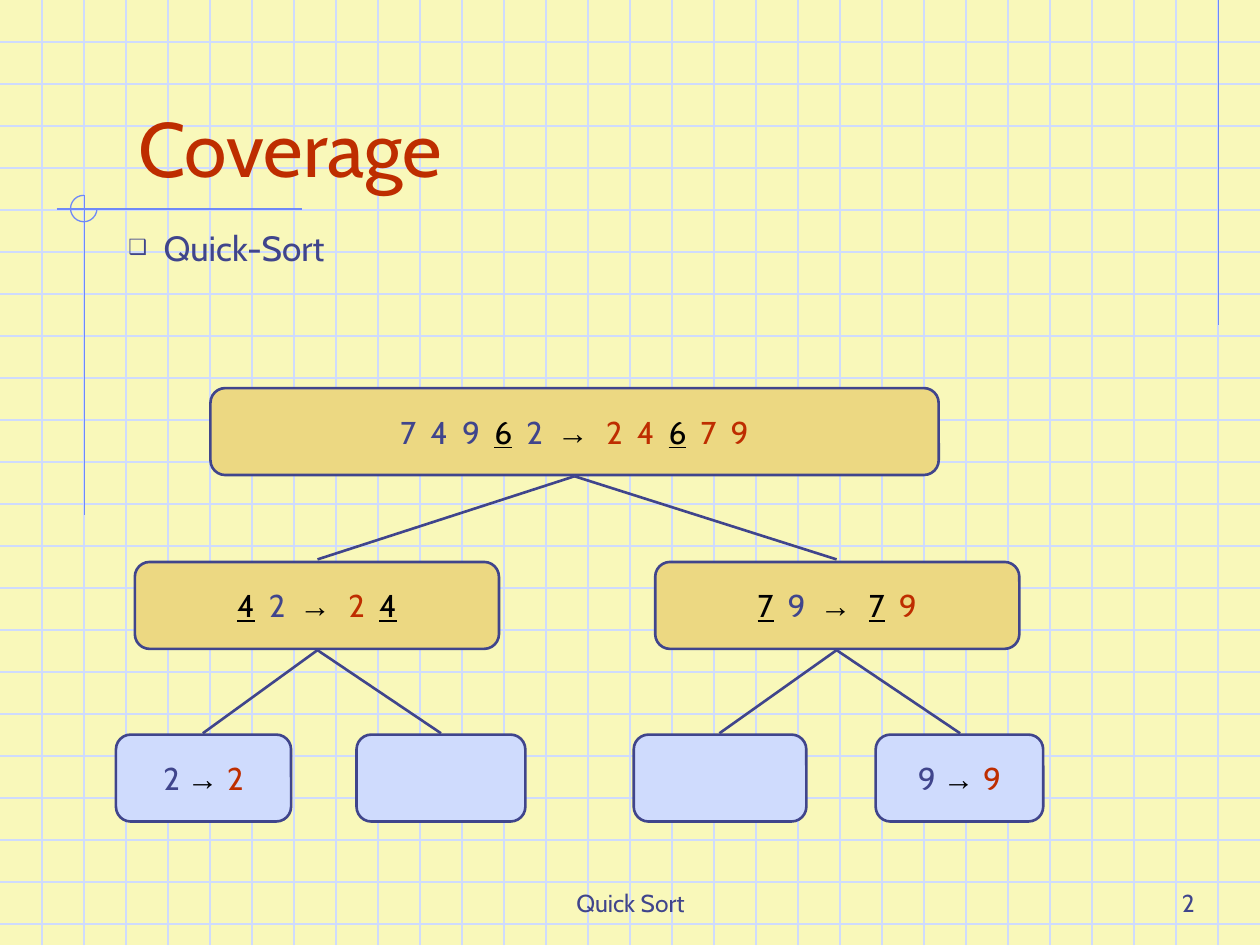
from typing import NamedTuple

from lxml.etree import SubElement
from pptx import Presentation
from pptx.dml.color import RGBColor
from pptx.enum.shapes import MSO_CONNECTOR, MSO_SHAPE
from pptx.enum.text import MSO_ANCHOR, MSO_AUTO_SIZE, PP_ALIGN
from pptx.oxml.ns import qn
from pptx.util import Inches, Pt

PAPER = RGBColor(0xF9, 0xF8, 0xBA)
PALE_BLUE = RGBColor(0xCF, 0xDB, 0xFD)
RULE_BLUE = RGBColor(0x6F, 0x89, 0xF7)
NAVY = RGBColor(0x40, 0x45, 0x8C)
GOLD = RGBColor(0xEC, 0xD8, 0x82)
RED = RGBColor(0xBE, 0x2D, 0x00)
BLACK = RGBColor(0x00, 0x00, 0x00)
SLIDE_WIDTH, SLIDE_HEIGHT = 10, 7.5
GRID_LINES_PER_INCH = 3
NODE_HEIGHT = 0.69


class Span(NamedTuple):
    text: str
    color: RGBColor
    pivot: bool = False
    arrow: bool = False


class Node(NamedTuple):
    left: float
    top: float
    width: float
    fill: RGBColor
    spans: tuple[Span, ...] = ()


class Edge(NamedTuple):
    start: tuple[float, float]
    end: tuple[float, float]


def before(text: str) -> Span:
    return Span(text, NAVY)


def after(text: str) -> Span:
    return Span(text, RED)


def pivot(text: str) -> Span:
    return Span(text, BLACK, pivot=True)


def arrow(text: str) -> Span:
    return Span(text, BLACK, arrow=True)


NODES = (
    Node(1.67, 3.08, 5.78, GOLD, (
        before("7  4  9  "), pivot("6"), before("  2  "), arrow("→  "),
        after("2  4  "), pivot("6"), after("  7  9"))),
    Node(1.07, 4.46, 2.89, GOLD, (
        pivot("4"), before("  2  "), arrow("→  "), after("2  "), pivot("4"))),
    Node(5.2, 4.46, 2.89, GOLD, (
        pivot("7"), before("  9  "), arrow("→  "), pivot("7"), after("  9"))),
    Node(0.92, 5.83, 1.39, PALE_BLUE, (before("2 "), arrow("→ "), after("2"))),
    Node(2.83, 5.83, 1.34, PALE_BLUE),
    Node(5.03, 5.83, 1.37, PALE_BLUE),
    Node(6.95, 5.83, 1.33, PALE_BLUE, (before("9 "), arrow("→ "), after("9"))),
)
ROOT, LEFT_CHILD, RIGHT_CHILD = (4.56, 3.78), (2.52, 5.16), (6.64, 5.16)
EDGES = (
    Edge(ROOT, (2.52, 4.44)),
    Edge(ROOT, (6.64, 4.44)),
    Edge(LEFT_CHILD, (1.61, 5.82)),
    Edge(LEFT_CHILD, (3.5, 5.82)),
    Edge(RIGHT_CHILD, (5.71, 5.82)),
    Edge(RIGHT_CHILD, (7.62, 5.82)),
)
ORNAMENT_LINES = (
    Edge((9.67, 0), (9.67, 2.58)),
    Edge((0.45, 1.66), (2.4, 1.66)),
    Edge((0.67, 1.55), (0.67, 4.09)),
)


def draw_line(slide, edge: Edge, color: RGBColor, weight: float = 0.75) -> None:
    ends = [Inches(value) for value in (*edge.start, *edge.end)]
    line = slide.shapes.add_connector(MSO_CONNECTOR.STRAIGHT, *ends)
    line.line.color.rgb = color
    line.line.width = Pt(weight)
    SubElement(line.element.spPr, qn("a:effectLst"))


def draw_background(slide) -> None:
    slide.background.fill.solid()
    slide.background.fill.fore_color.rgb = PAPER
    for number in range(1, int(SLIDE_HEIGHT * GRID_LINES_PER_INCH) + 1):
        y = number / GRID_LINES_PER_INCH
        draw_line(slide, Edge((0, y), (SLIDE_WIDTH, y)), PALE_BLUE)
    for number in range(1, SLIDE_WIDTH * GRID_LINES_PER_INCH):
        x = number / GRID_LINES_PER_INCH
        draw_line(slide, Edge((x, 0), (x, SLIDE_HEIGHT)), PALE_BLUE)
    for edge in ORNAMENT_LINES:
        draw_line(slide, edge, RULE_BLUE)
    ring = slide.shapes.add_shape(
        MSO_SHAPE.ARC, Inches(0.56), Inches(1.55), Inches(0.21), Inches(0.21))
    ring.adjustments[0] = 0
    ring.adjustments[1] = 162
    ring.shadow.inherit = False
    ring.fill.background()
    ring.line.color.rgb = RULE_BLUE
    ring.line.width = Pt(0.75)


def format_text(box, text: str, size: float, color: RGBColor,
                align: PP_ALIGN, anchor: MSO_ANCHOR):
    frame = box.text_frame
    frame.text = text
    frame.word_wrap = True
    frame.auto_size = MSO_AUTO_SIZE.NONE
    frame.vertical_anchor = anchor
    para = frame.paragraphs[0]
    para.alignment = align
    font = para.runs[0].font
    font.name = "Cabin"
    font.size = Pt(size)
    font.color.rgb = color
    return para


def add_text(slide, bounds: tuple[float, float, float, float], text: str, size: float,
             align: PP_ALIGN, anchor: MSO_ANCHOR = MSO_ANCHOR.BOTTOM):
    box = slide.shapes.add_textbox(*[Inches(value) for value in bounds])
    return format_text(box, text, size, NAVY, align, anchor)


def add_title(slide) -> None:
    title = slide.shapes.title
    title.left, title.top = Inches(1), Inches(0.33)
    title.width, title.height = Inches(8.5), Inches(1.25)
    format_text(title, "Coverage", 44, RED, PP_ALIGN.LEFT, MSO_ANCHOR.BOTTOM)
    title.element.getparent().append(title.element)


def add_bullet(para) -> None:
    para.space_before = Pt(5)
    properties = para._p.get_or_add_pPr()
    properties.set("marL", str(Inches(0.28)))
    properties.set("indent", str(-Inches(0.28)))
    bullet_color = SubElement(properties, qn("a:buClr"))
    SubElement(bullet_color, qn("a:srgbClr"), val=str(NAVY))
    SubElement(properties, qn("a:buSzPct"), val="60000")
    SubElement(properties, qn("a:buFont"), typeface="Arial")
    SubElement(properties, qn("a:buChar"), char="❑")


def draw_node(slide, node: Node) -> None:
    box = slide.shapes.add_shape(
        MSO_SHAPE.ROUNDED_RECTANGLE, Inches(node.left), Inches(node.top),
        Inches(node.width), Inches(NODE_HEIGHT))
    box.adjustments[0] = 0.17
    box.shadow.inherit = False
    box.fill.solid()
    box.fill.fore_color.rgb = node.fill
    box.line.color.rgb = NAVY
    box.line.width = Pt(1.5)
    frame = box.text_frame
    frame.word_wrap = False
    frame.vertical_anchor = MSO_ANCHOR.MIDDLE
    para = frame.paragraphs[0]
    para.alignment = PP_ALIGN.CENTER
    for span in node.spans:
        run = para.add_run()
        run.text = span.text
        run.font.name = "Arial" if span.arrow else "Cabin"
        run.font.size = Pt(18)
        run.font.bold = span.arrow
        run.font.underline = span.pivot
        run.font.color.rgb = span.color


def main() -> None:
    deck = Presentation()
    deck.slide_width, deck.slide_height = Inches(SLIDE_WIDTH), Inches(SLIDE_HEIGHT)
    slide = deck.slides.add_slide(deck.slide_layouts[5])
    draw_background(slide)
    add_title(slide)
    add_bullet(add_text(slide, (0.92, 1.75, 7.08, 0.75), "Quick-Sort", 20,
                        PP_ALIGN.LEFT, MSO_ANCHOR.TOP))
    for node in NODES:
        draw_node(slide, node)
    for edge in EDGES:
        draw_line(slide, edge, NAVY, 1.5)
    add_text(slide, (3.42, 6.83, 3.17, 0.5), "Quick Sort", 14, PP_ALIGN.CENTER)
    add_text(slide, (7.5, 6.83, 2.08, 0.5), "2", 14, PP_ALIGN.RIGHT)
    deck.save("out.pptx")


if __name__ == "__main__":
    main()
